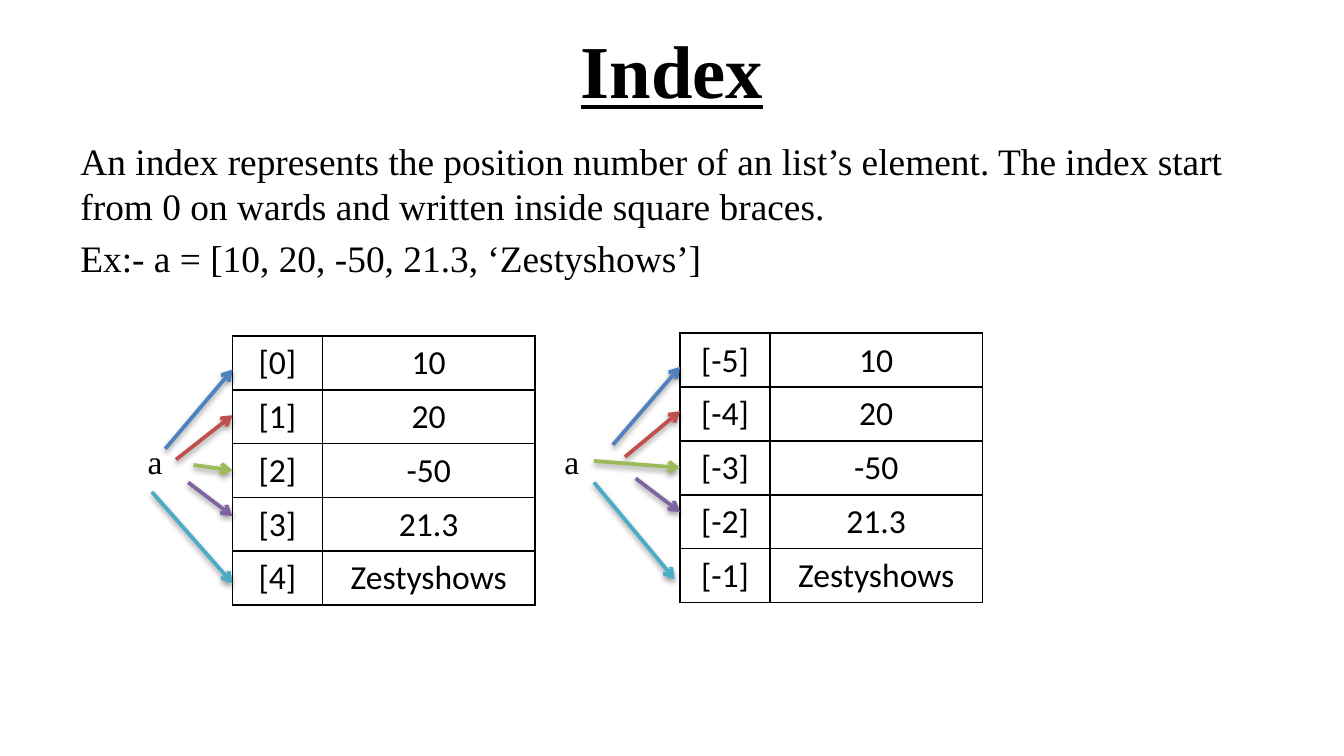
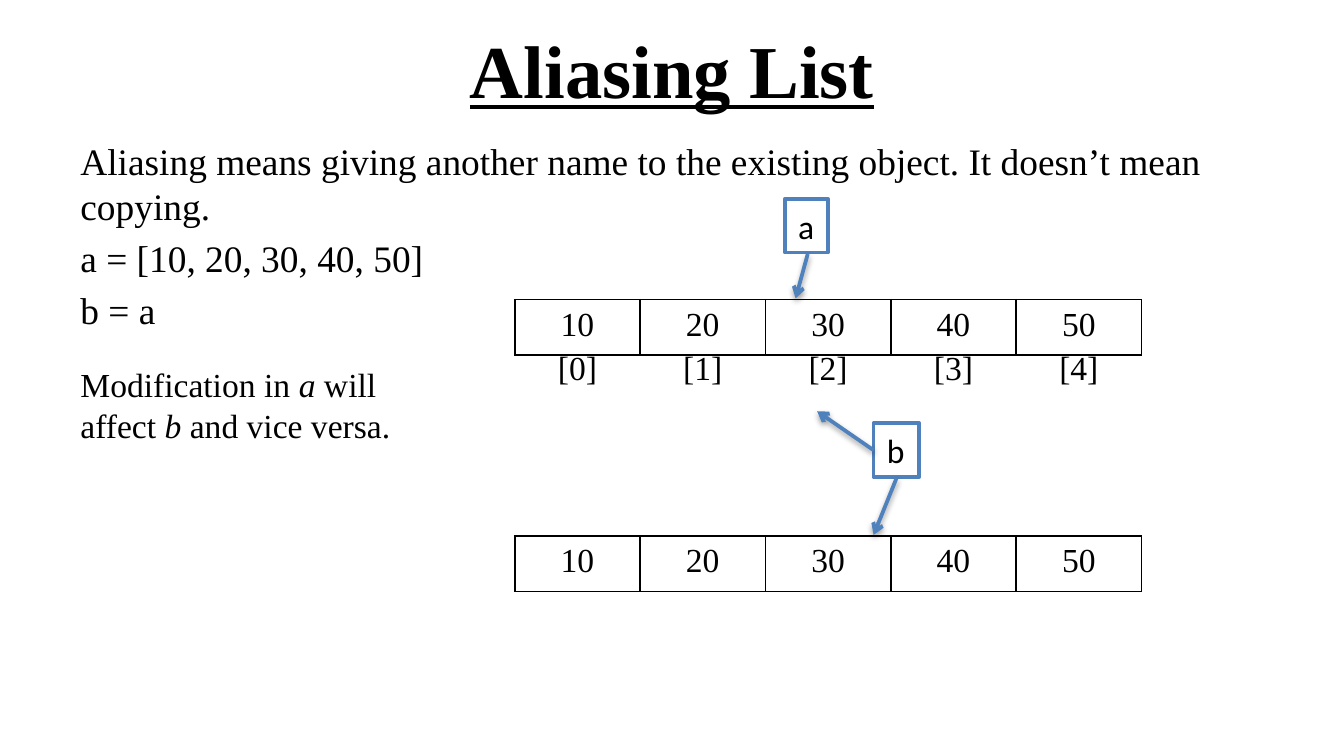
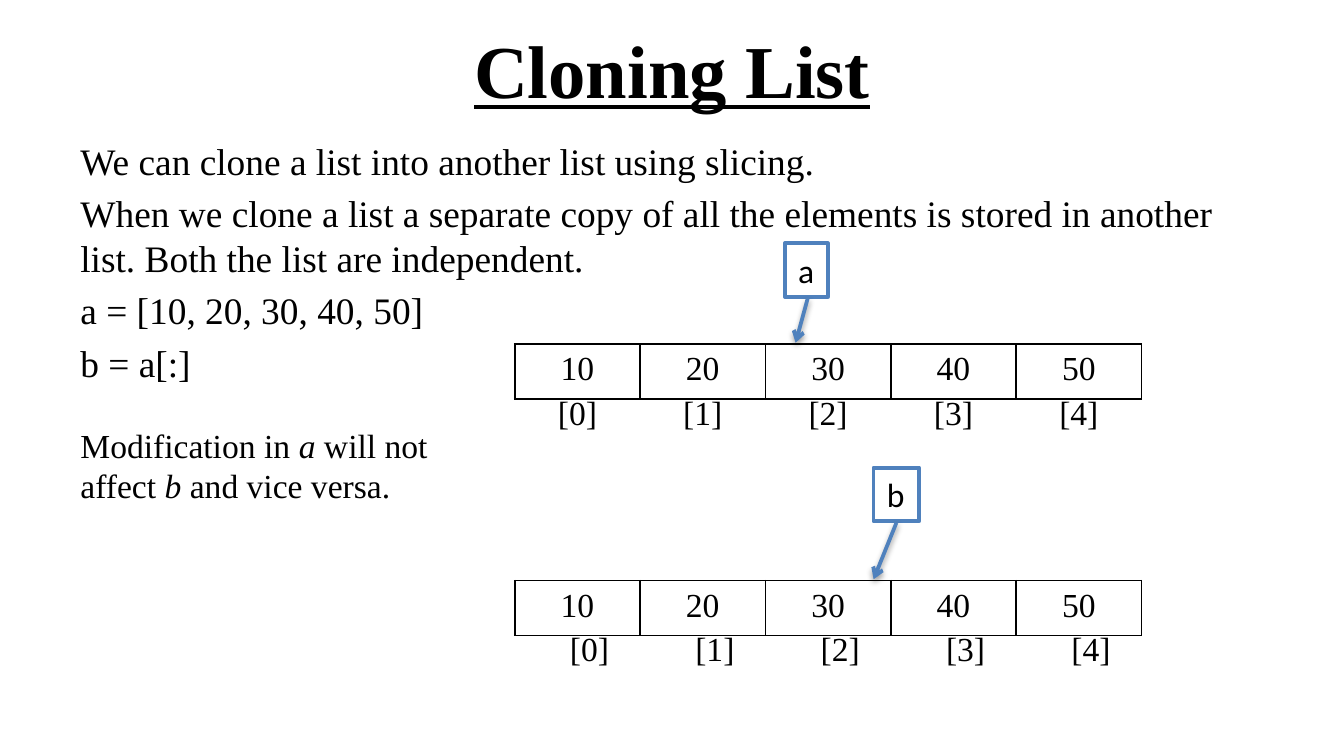
from dataclasses import dataclass

from pptx import Presentation
from pptx.dml.color import RGBColor
from pptx.enum.shapes import MSO_CONNECTOR, MSO_SHAPE
from pptx.enum.text import MSO_ANCHOR, MSO_AUTO_SIZE, PP_ALIGN
from pptx.oxml import parse_xml
from pptx.oxml.ns import nsdecls
from pptx.util import Inches, Pt

COLS, ROWS = 100, 56.25
WIDTH, HEIGHT = Inches(10), Inches(5.625)
VALUES = ["10", "20", "30", "40", "50"]


@dataclass(frozen=True)
class Theme:
    ink: str = "000000"
    paper: str = "FFFFFF"
    hues: tuple = ("4F81BD", "C0504D", "9BBB59", "8064A2", "4BACC6")
    serif: str = "Times New Roman"
    sans: str = "Calibri"
    head: int = 40
    body: int = 20
    note: int = 18
    line: int = 2
    rule: int = 1


def tint(code):
    return RGBColor.from_string(code)


def write(frame, text, font, size, color, bold=None, under=None,
          align=PP_ALIGN.LEFT, gap=0):
    """Fill a frame, one paragraph a line; *stars* mark italics."""
    for i, line in enumerate(text.split("\n")):
        para = frame.paragraphs[0] if i == 0 else frame.add_paragraph()
        para.alignment = align
        para.space_before = Pt(gap)
        for j, part in enumerate(line.split("*")):
            run = para.add_run()
            run.text = part
            face = run.font
            face.name, face.size = font, Pt(size)
            face.bold, face.underline = bold, under
            face.italic = j % 2 == 1
            face.color.rgb = tint(color)


class Deck:
    """Lengths are columns (x) and rows (y) of a 100 by 56.25 grid."""

    def __init__(self, theme):
        self.theme = theme
        self.file = Presentation()
        self.file.slide_width, self.file.slide_height = WIDTH, HEIGHT
        self.slide = None

    def grid(self, *spots):
        """Turn x, y, x, y ... into slide lengths."""
        units = (WIDTH / COLS, HEIGHT / ROWS)
        return [round(spot * units[i % 2]) for i, spot in enumerate(spots)]

    def start(self, title, body):
        look = self.theme
        self.slide = self.file.slides.add_slide(self.file.slide_layouts[5])
        head = self.slide.shapes.title
        head.left, head.top, head.width, head.height = self.grid(5, 0.4, 90, 9.4)
        head.text_frame.vertical_anchor = MSO_ANCHOR.MIDDLE
        write(head.text_frame, title, look.serif, look.head, look.ink,
              bold=True, under=True, align=PP_ALIGN.CENTER)
        self.text(body, 5, 9.8, 90, 39, size=look.body, gap=look.body / 5)

    def text(self, text, x, y, wide, high, size=None, wrap=True, gap=0):
        box = self.slide.shapes.add_textbox(*self.grid(x, y, wide, high))
        box.text_frame.word_wrap = wrap
        write(box.text_frame, text, self.theme.serif,
              size or self.theme.note, self.theme.ink, gap=gap)

    def tag(self, name, x, y, wide):
        """Draw a framed variable name."""
        look = self.theme
        box = self.slide.shapes.add_shape(
            MSO_SHAPE.RECTANGLE, *self.grid(x, y, wide, 4))
        box.shadow.inherit = False
        box.fill.solid()
        box.fill.fore_color.rgb = tint(look.paper)
        box.line.color.rgb = tint(look.hues[0])
        box.line.width = Pt(look.line)
        frame = box.text_frame
        frame.word_wrap = False
        frame.auto_size = MSO_AUTO_SIZE.SHAPE_TO_FIT_TEXT
        frame.vertical_anchor = MSO_ANCHOR.TOP
        write(frame, name, look.sans, look.note, look.ink)

    def arrow(self, tail, tip, hue=0):
        look = self.theme
        link = self.slide.shapes.add_connector(
            MSO_CONNECTOR.STRAIGHT, *self.grid(*tail, *tip))
        link.line.color.rgb = tint(look.hues[hue])
        link.line.width = Pt(look.line)
        props = link._element.spPr
        props.get_or_add_ln().append(
            parse_xml(f'<a:tailEnd {nsdecls("a")} type="arrow"/>'))
        props.append(parse_xml(
            f'<a:effectLst {nsdecls("a")}><a:outerShdw blurRad="40000" '
            f'dist="20000" dir="5400000" rotWithShape="0">'
            f'<a:srgbClr val="{look.ink}"><a:alpha val="38000"/></a:srgbClr>'
            f'</a:outerShdw></a:effectLst>'))

    def edge(self, cell, ruled):
        """Rule all four sides of a cell, or leave them bare."""
        paint = (f'<a:solidFill><a:srgbClr val="{self.theme.ink}"/></a:solidFill>'
                 if ruled else "<a:noFill/>")
        for side in "LRTB":
            cell._tc.get_or_add_tcPr().append(parse_xml(
                f'<a:ln{side} {nsdecls("a")} w="{Pt(self.theme.rule)}">'
                f'{paint}</a:ln{side}>'))

    def table(self, rows, x, y, widths, high, font, ruled=True):
        look = self.theme
        table = self.slide.shapes.add_table(
            len(rows), len(widths),
            *self.grid(x, y, sum(widths), high * len(rows))).table
        table.first_row = table.horz_banding = False
        for col, wide in zip(table.columns, widths):
            col.width = self.grid(wide)[0]
        for i, row in enumerate(rows):
            for j, value in enumerate(row):
                cell = table.cell(i, j)
                self.edge(cell, ruled)
                cell.fill.background()
                write(cell.text_frame, value, font, look.note, look.ink,
                      align=PP_ALIGN.CENTER)

    def strip(self, values, x, y, ruled=True):
        self.table([values], x, y, [9.33] * len(values), 4.1,
                   self.theme.serif, ruled)

    def marks(self, x, y):
        """Write the index marks below a strip."""
        self.strip([f"[{i}]" for i in range(len(VALUES))], x, y, ruled=False)

    def lists(self, top):
        """Draw both named lists, the first one starting at row top."""
        self.tag("a", 58.4, top - 7.5, 3.2)
        self.arrow((60.1, top - 3.4), (59.2, top - 0.1))
        self.tag("b", 65, top + 9.2, 3.4)
        self.arrow((66.7, top + 13.3), (65, top + 17.5))
        for y in (top, top + 17.6):
            self.strip(VALUES, 38.3, y)
        self.marks(38.3, top + 3.3)


def index(deck):
    deck.start("Index",
               "An index represents the position number of an list’s element. "
               "The index start from 0 on wards and written inside square braces.\n"
               "Ex:- a = [10, 20, -50, 21.3, ‘Zestyshows’]")
    items = ["10", "20", "-50", "21.3", "Zestyshows"]
    # First index, name x, table x, table y, arrow tails, arrow tips
    sides = [
        (0, 10, 17.3, 25,
         [(12.3, 33.4), (13.1, 34.2), (14.4, 34.6), (14, 35.9), (11.3, 36.6)],
         [(17.3, 27.5), (17.3, 30.9), (17.3, 35), (17.3, 38.4), (17.3, 43.4)]),
        (-5, 41, 50.6, 24.8,
         [(45.6, 33.1), (46.5, 34), (44.2, 34.3), (47.3, 35.6), (44.2, 35.9)],
         [(50.6, 27.3), (50.6, 30.6), (50.6, 34.8), (50.6, 38.1), (50.2, 43.1)]),
    ]
    for first, name, x, y, tails, tips in sides:
        rows = [(f"[{first + i}]", item) for i, item in enumerate(items)]
        deck.table(rows, x, y, [6.7, 15.8], 4, deck.theme.sans)
        deck.text("a", name, 32.3, 3.1, 4, wrap=False)
        for hue, (tail, tip) in enumerate(zip(tails, tips)):
            deck.arrow(tail, tip, hue)


def alias(deck):
    deck.start("Aliasing List",
               "Aliasing means giving another name to the existing object. "
               "It doesn’t mean copying.\n"
               "a = [10, 20, 30, 40, 50]\nb = a")
    deck.lists(22.3)
    deck.arrow((65, 33.5), (60.8, 30.6))
    deck.text("Modification in *a* will affect *b* and vice versa.",
              5, 26.6, 29.2, 7.1)


def clone(deck):
    deck.start("Cloning List",
               "We can clone a list into another list using slicing.\n"
               "When we clone a list a separate copy of all the elements is "
               "stored in another list. Both the list are independent.\n"
               "a = [10, 20, 30, 40, 50]\nb = a[:]")
    deck.lists(25.6)
    deck.marks(39.2, 46.5)
    deck.text("Modification in *a* will not affect *b* and vice versa.",
              5, 31.1, 29.2, 7.1)


def main():
    deck = Deck(Theme())
    for build in (index, alias, clone):
        build(deck)
    deck.file.save("out.pptx")


if __name__ == "__main__":
    main()
